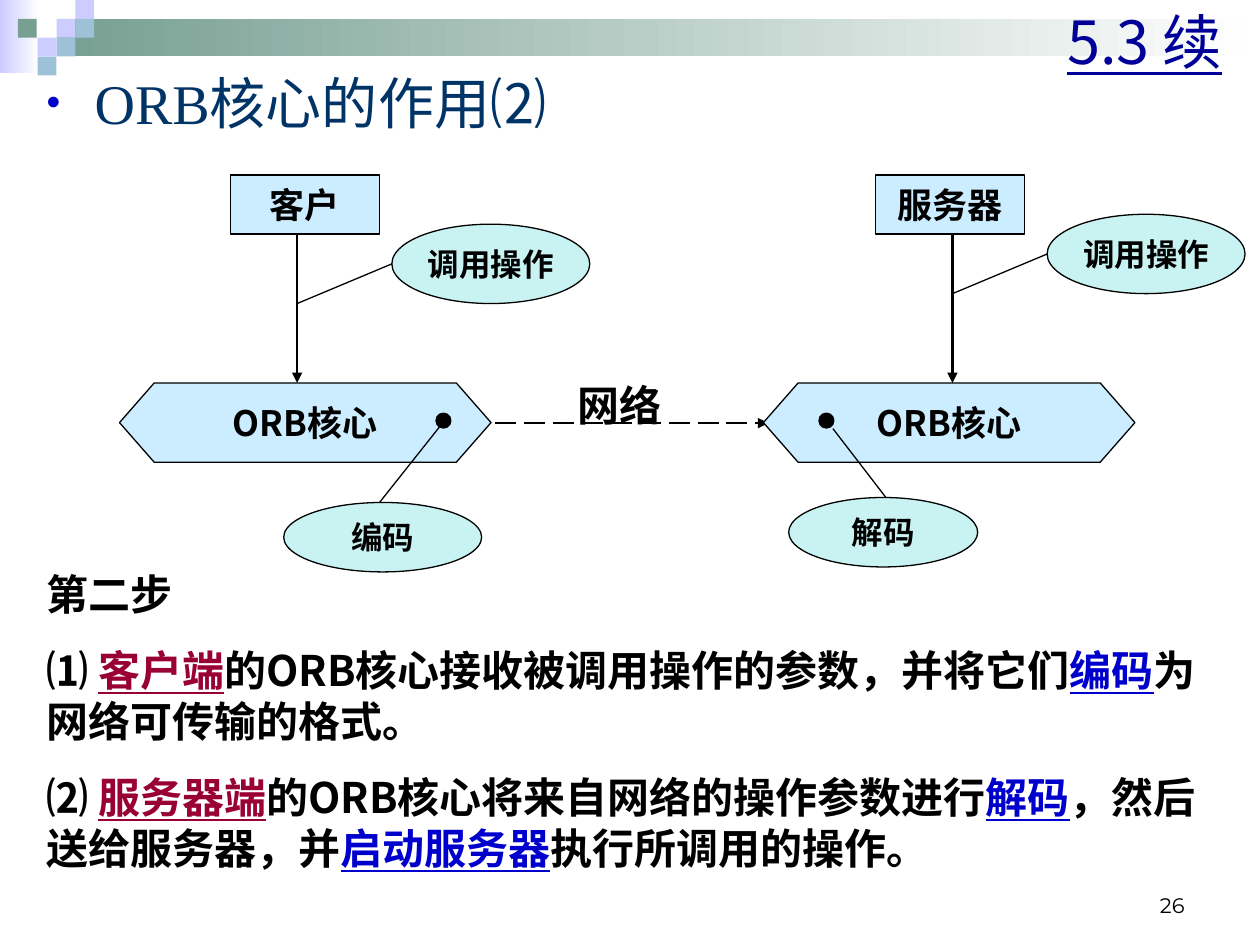
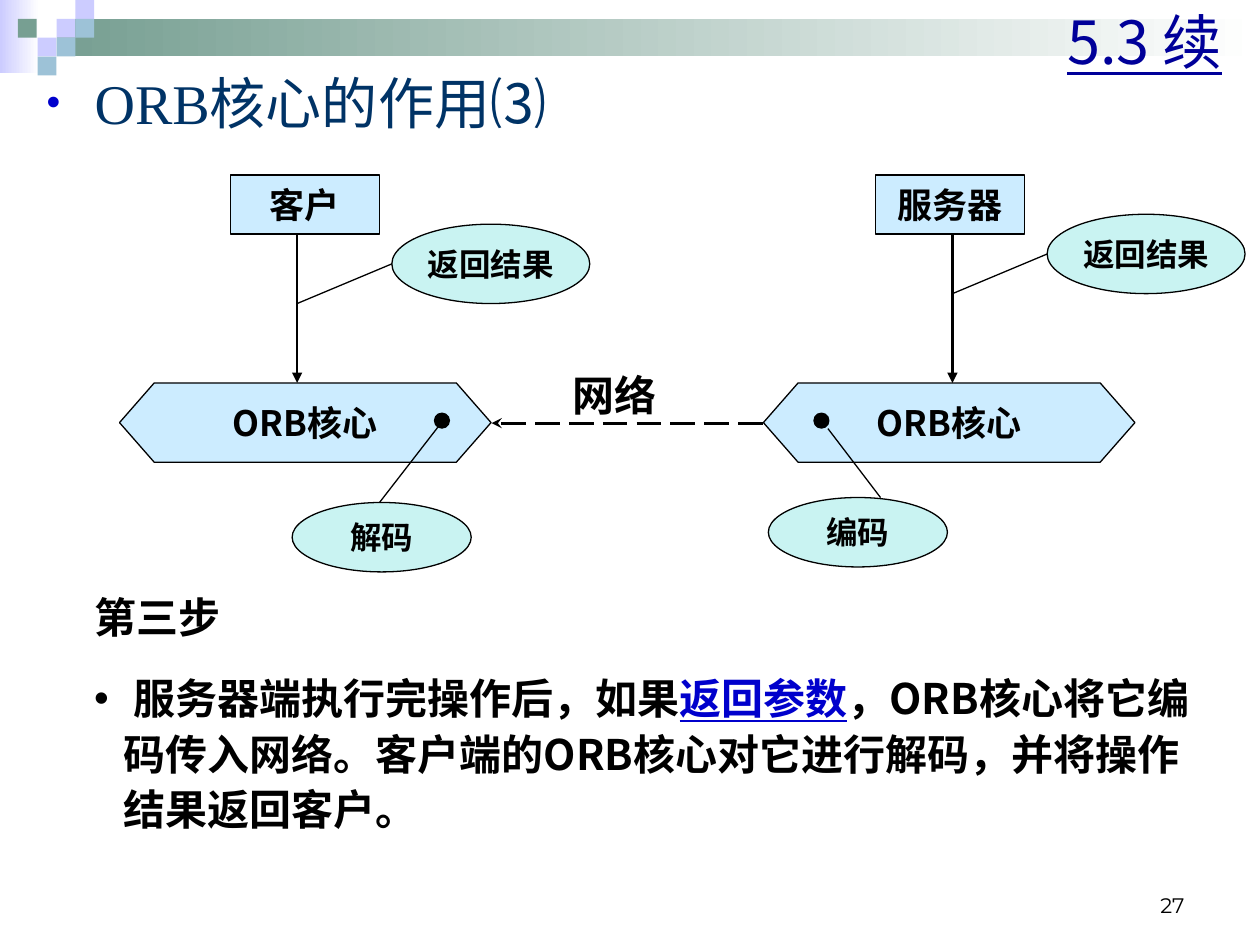
"""Build two slides on how the ORB core passes calls and results."""
from dataclasses import dataclass
from typing import NamedTuple

from lxml import etree
from pptx import Presentation
from pptx.dml.color import RGBColor
from pptx.enum.dml import MSO_LINE
from pptx.enum.shapes import MSO_CONNECTOR, MSO_SHAPE
from pptx.enum.text import MSO_ANCHOR, PP_ALIGN
from pptx.oxml.ns import qn
from pptx.util import Cm, Pt

RECTANGLE, ELLIPSE, HEXAGON = MSO_SHAPE.RECTANGLE, MSO_SHAPE.OVAL, MSO_SHAPE.HEXAGON
STRAIGHT = MSO_CONNECTOR.STRAIGHT
LONG_DASH = MSO_LINE.LONG_DASH
LEFT, CENTER, RIGHT = PP_ALIGN.LEFT, PP_ALIGN.CENTER, PP_ALIGN.RIGHT
TOP, MIDDLE, BOTTOM = MSO_ANCHOR.TOP, MSO_ANCHOR.MIDDLE, MSO_ANCHOR.BOTTOM

COLORS = {
    "black": "000000", "white": "FFFFFF", "title": "000099", "heading": "003366",
    "blue": "0000CC", "red": "990033", "box": "CCECFF", "bubble": "C9F3F2",
    "lilac": "CCCCFF", "green": "779F92", "sky": "9DC2D7",
}
SANS, LATIN, SERIF, NUMBER = "Noto Sans CJK SC", "Arial", "Times New Roman", "Montserrat"

CELL = 0.38
BAND_LEFT = 1.14
CORNER_CELLS = [
    (BAND_LEFT, 1, "lilac"), (BAND_LEFT + CELL, 0, "lilac"), (BAND_LEFT + CELL, 1, "sky"),
    (BAND_LEFT - CELL, 2, "lilac"), (0.36, 1, "green"), (BAND_LEFT, 2, "sky"),
    (BAND_LEFT - CELL, 3, "sky"),
]
CORE_TOP, CORE_HEIGHT = 7.72, 1.6
NETWORK_Y = 8.53


class Area(NamedTuple):
    left: float
    top: float
    width: float
    height: float


class Point(NamedTuple):
    x: float
    y: float


class Span(NamedTuple):
    text: str
    color: str = "black"
    underline: bool = False


@dataclass
class TextStyle:
    size: float
    font: str = SANS
    bold: bool = True
    align: PP_ALIGN = LEFT
    anchor: MSO_ANCHOR = TOP


@dataclass
class Bullet:
    indent: float
    color: str
    percent: int = 100


@dataclass
class Paragraph:
    spans: list[Span]
    bullet: Bullet | None = None


@dataclass
class Side:
    name: str
    font: str
    box_left: float
    core_left: float
    arrow_x: float
    callout_top: float


@dataclass
class Codec:
    label: str
    bubble: Area
    dot_left: float
    pointer_foot: Point
    pointer_tip: Point


@dataclass
class Network:
    label: Area
    start_x: float
    end_x: float
    width: float
    head: str = ""
    tail: str = ""


@dataclass
class Step:
    number: int
    heading: str
    callout: str
    codecs: list[Codec]
    network: Network
    text_area: Area
    paragraphs: list[Paragraph]


BOX_STYLE = TextStyle(20, align=CENTER, anchor=MIDDLE)
BUBBLE_STYLE = TextStyle(18, LATIN, align=CENTER, anchor=MIDDLE)
SIDES = [
    Side("客户", SANS, 4.65, 2.41, 5.99, 4.52),
    Side("服务器", LATIN, 17.65, 15.39, 19.2, 4.32),
]
STEPS = [
    Step(
        26, "ORB核心的作用⑵", "调用操作",
        [
            Codec("编码", Area(5.72, 10.13, 3.99, 1.4), 8.79, Point(7.65, 10.13), Point(8.92, NETWORK_Y)),
            Codec("解码", Area(15.9, 10.03, 3.81, 1.4), 16.51, Point(17.86, 10.03), Point(16.79, 8.64)),
        ],
        Network(Area(11.1, 7.52, 2.79, 1.27), 9.98, 15.49, 1.5, tail="triangle"),
        Area(0.69, 11.33, 24, 6.4),
        [
            Paragraph([Span("第二步")]),
            Paragraph([
                Span("⑴ "), Span("客户端", "red", True),
                Span("的ORB核心接收被调用操作的参数，并将它们"),
                Span("编码", "blue", True), Span("为网络可传输的格式。"),
            ]),
            Paragraph([
                Span("⑵ "), Span("服务器端", "red", True),
                Span("的ORB核心将来自网络的操作参数进行"), Span("解码", "blue", True),
                Span("，然后送给服务器，并"), Span("启动服务器", "blue", True),
                Span("执行所调用的操作。"),
            ]),
        ],
    ),
    Step(
        27, "ORB核心的作用⑶", "返回结果",
        [
            Codec("解码", Area(5.89, 10.13, 3.61, 1.4), 8.76, Point(7.65, 10.13), Point(8.89, NETWORK_Y)),
            Codec("编码", Area(15.49, 10.03, 3.61, 1.4), 16.41, Point(17.75, 10.03), Point(16.69, 8.64)),
        ],
        Network(Area(11, 7.32, 2.79, 1.27), 9.91, 15.39, 1.75, head="stealth"),
        Area(1.65, 11.79, 22.66, 5.16),
        [
            Paragraph([Span("第三步")]),
            Paragraph([
                Span(" 服务器端执行完操作后，如果"), Span("返回参数", "blue", True),
                Span("，ORB核心将它编码传入网络。客户端的ORB核心对它进行解码，并将操作结果返回客户。"),
            ], Bullet(0.6, "black")),
        ],
    ),
]


def rgb(name: str) -> RGBColor:
    return RGBColor.from_string(COLORS[name])


def add_bullet(paragraph, bullet: Bullet) -> None:
    properties = paragraph._p.get_or_add_pPr()
    properties.set("marL", str(Cm(bullet.indent)))
    properties.set("indent", str(-Cm(bullet.indent)))
    color = etree.SubElement(properties, qn("a:buClr"))
    etree.SubElement(color, qn("a:srgbClr"), val=COLORS[bullet.color])
    etree.SubElement(properties, qn("a:buSzPct"), val=str(bullet.percent * 1000))
    etree.SubElement(properties, qn("a:buFont"), typeface=LATIN)
    etree.SubElement(properties, qn("a:buChar"), char="•")
    paragraph.line_spacing = 1.1


def fill_text(shape, paragraphs: list[Paragraph], style: TextStyle, wrap: bool = True) -> None:
    text_frame = shape.text_frame
    text_frame.word_wrap = wrap
    text_frame.vertical_anchor = style.anchor
    for index, content in enumerate(paragraphs):
        paragraph = text_frame.add_paragraph() if index else text_frame.paragraphs[0]
        paragraph.alignment = style.align
        if content.bullet:
            add_bullet(paragraph, content.bullet)
        if index:
            paragraph.space_before = Pt(15)
        for span in content.spans:
            run = paragraph.add_run()
            run.text = span.text
            run.font.size = Pt(style.size)
            run.font.bold = style.bold
            run.font.underline = span.underline
            run.font.color.rgb = rgb(span.color)
            run.font.name = style.font
            etree.SubElement(run._r.get_or_add_rPr(), qn("a:ea"), typeface=SANS)


def add_text(slide, area: Area, paragraphs: list[Paragraph], style: TextStyle) -> None:
    fill_text(slide.shapes.add_textbox(*map(Cm, area)), paragraphs, style)


def add_block(slide, kind: MSO_SHAPE, area: Area, color: str, outlined: bool = True):
    shape = slide.shapes.add_shape(kind, *map(Cm, area))
    shape.shadow.inherit = False
    shape.fill.solid()
    shape.fill.fore_color.rgb = rgb(color)
    if outlined:
        shape.line.color.rgb = rgb("black")
        shape.line.width = Pt(0.75)
    else:
        shape.line.fill.background()
    return shape


def add_label(slide, kind: MSO_SHAPE, area: Area, color: str, text: str, style: TextStyle):
    shape = add_block(slide, kind, area, color)
    fill_text(shape, [Paragraph([Span(text)])], style, wrap=False)
    return shape


def add_line(slide, start: Point, end: Point, width: float = 0.75,
             head: str = "", tail: str = "", dashed: bool = False) -> None:
    connector = slide.shapes.add_connector(STRAIGHT, *map(Cm, (*start, *end)))
    connector.line.color.rgb = rgb("black")
    connector.line.width = Pt(width)
    if dashed:
        connector.line.dash_style = LONG_DASH
    properties = connector._element.spPr
    outline = properties.find(qn("a:ln"))
    for tag, arrow in (("a:headEnd", head), ("a:tailEnd", tail)):
        if arrow:
            etree.SubElement(outline, qn(tag), type=arrow)
    etree.SubElement(properties, qn("a:effectLst"))


def add_fade(slide, area: Area, color: str) -> None:
    shape = add_block(slide, RECTANGLE, area, color, outlined=False)
    shape.fill.gradient()
    shape.fill.gradient_angle = 0
    for stop, name in zip(shape.fill.gradient_stops, (color, "white")):
        stop.color.rgb = rgb(name)


def add_frame(slide, step: Step) -> None:
    add_fade(slide, Area(0, 0, 0.79, 1.47), "lilac")
    add_fade(slide, Area(BAND_LEFT, CELL, 24.26, 2 * CELL), "green")
    for left, row, color in CORNER_CELLS:
        add_block(slide, RECTANGLE, Area(left, row * CELL, CELL, CELL), color, outlined=False)
    add_text(slide, Area(18.21, 17.35, 5.92, 1.27), [Paragraph([Span(str(step.number))])],
             TextStyle(12, NUMBER, False, RIGHT, BOTTOM))
    add_text(slide, Area(2.03, -0.08, 22.86, 1.8), [Paragraph([Span("5.3 续", "title", True)])],
             TextStyle(34, SANS, False, RIGHT, MIDDLE))
    add_text(slide, Area(0.69, 1.12, 24, 1.9),
             [Paragraph([Span(step.heading, "heading")], Bullet(0.97, "blue", 70))],
             TextStyle(32, SERIF, False))


def add_side(slide, side: Side, callout: str) -> None:
    box = Area(side.box_left, 3.53, 3, 1.19)
    bubble = Area(side.arrow_x + 1.91, side.callout_top, 3.99, 1.6)
    add_label(slide, RECTANGLE, box, "box", side.name,
              TextStyle(20, side.font, align=CENTER, anchor=MIDDLE))
    core = add_label(slide, HEXAGON, Area(side.core_left, CORE_TOP, 7.49, CORE_HEIGHT),
                     "box", "ORB核心", BOX_STYLE)
    core.adjustments[0] = 0.438
    add_line(slide, Point(side.arrow_x, box.top + box.height), Point(side.arrow_x, CORE_TOP),
             1.5, tail="triangle")
    add_label(slide, ELLIPSE, bubble, "bubble", callout, BUBBLE_STYLE)
    add_line(slide, Point(side.arrow_x, bubble.top + bubble.height),
             Point(bubble.left, bubble.top + bubble.height / 2))


def add_codec(slide, codec: Codec) -> None:
    add_label(slide, ELLIPSE, codec.bubble, "bubble", codec.label, BUBBLE_STYLE)
    add_line(slide, codec.pointer_foot, codec.pointer_tip)
    add_block(slide, ELLIPSE, Area(codec.dot_left, 8.33, 0.3, 0.3), "black")


def add_network(slide, network: Network) -> None:
    add_line(slide, Point(network.start_x, NETWORK_Y), Point(network.end_x, NETWORK_Y),
             network.width, network.head, network.tail, dashed=True)
    add_text(slide, network.label, [Paragraph([Span("网络")])], TextStyle(24, LATIN, align=CENTER))


def main() -> None:
    presentation = Presentation()
    presentation.slide_width, presentation.slide_height = Cm(25.4), Cm(19.05)
    for step in STEPS:
        slide = presentation.slides.add_slide(presentation.slide_layouts[6])
        add_frame(slide, step)
        add_text(slide, step.text_area, step.paragraphs, TextStyle(24))
        add_network(slide, step.network)
        for side in SIDES:
            add_side(slide, side, step.callout)
        for codec in step.codecs:
            add_codec(slide, codec)
    presentation.save("out.pptx")


if __name__ == "__main__":
    main()
